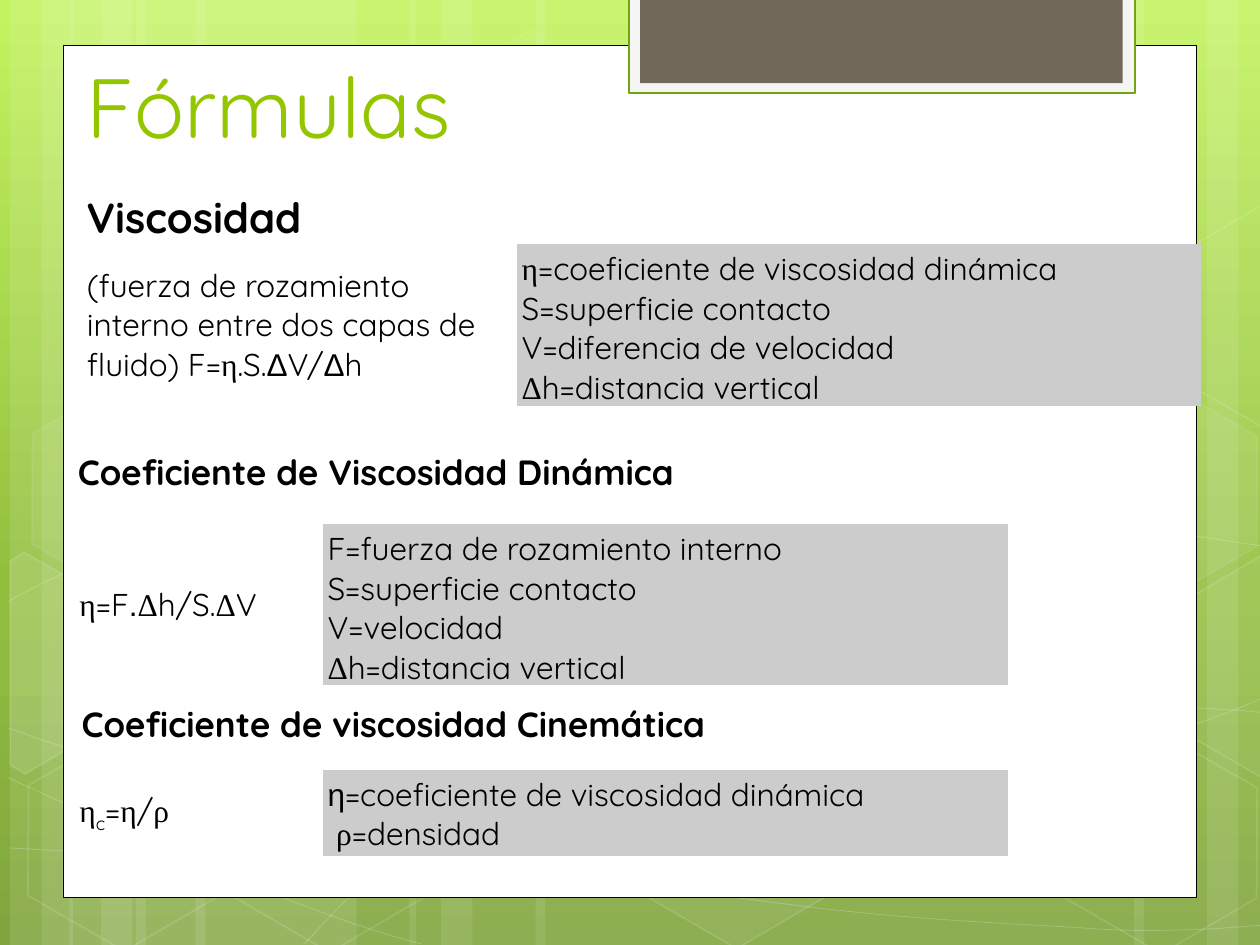
from copy import deepcopy
from dataclasses import dataclass
from math import cos, radians, sin

from pptx import Presentation
from pptx.dml.color import RGBColor
from pptx.enum.shapes import MSO_SHAPE
from pptx.enum.text import MSO_ANCHOR, MSO_AUTO_SIZE, PP_ALIGN
from pptx.oxml.ns import qn
from pptx.util import Inches, Pt
from lxml.etree import SubElement


@dataclass(frozen=True)
class Theme:
    sans: str = "Quicksand"
    serif: str = "Times New Roman"
    plain: str = "Arial"
    white: str = "FFFFFF"
    ink: str = "000000"
    accent: str = "94C600"
    frame: str = "74A510"
    tab: str = "F5F5F5"
    tab_core: str = "71685A"
    key: str = "CCCCCC"
    sky: tuple = ((0, "C3F35F"), (0.62, "93BF3F"), (1, "81A53E"))
    title: int = 48
    body: int = 18


T = Theme()
WIDTH, HEIGHT = 10, 7.5
TILT = 30  # degrees, shared by all hexagons

# Text: a paragraph is a list of runs; a run is a string or (string, font, baseline)
ETA, DELTA, RHO = [(c, T.serif) for c in "ηΔρ"]
DELTA_PLAIN = ("Δ", T.plain)
HEIGHT_KEY = [DELTA, "h=distancia vertical"]
CONTACT_KEY = ["S=superficie contacto"]
ETA_KEY = "=coeficiente de viscosidad dinámica"

SECTIONS = [
    dict(heading="Viscosidad", size=24, box=(0.59, 1.47, 8.9, 0.81),
         at=(0.65, 1.94), cols=(3.45, 5.43), height=1.28, row=0.98,
         formula=["(fuerza de rozamiento interno entre dos capas de fluido) F=",
                  ETA, ".S.", DELTA_PLAIN, "V/", DELTA_PLAIN, "h"],
         key=[[ETA, ETA_KEY], CONTACT_KEY, ["V=diferencia de velocidad"], HEIGHT_KEY]),
    dict(heading="Coeficiente de Viscosidad Dinámica", size=20, box=(0.52, 3.53, 8.27, 0.44),
         at=(0.59, 4.16), cols=(1.97, 5.44), height=1.28, row=0.98,
         formula=[ETA, "=F", (".", T.plain), DELTA, "h/S.", DELTA, "V"],
         key=[["F=fuerza de rozamiento interno"], CONTACT_KEY, ["V=velocidad"], HEIGHT_KEY]),
    dict(heading="Coeficiente de viscosidad Cinemática", size=20, box=(0.55, 5.53, 8.13, 0.44),
         at=(0.59, 6.11), cols=(1.97, 5.44), height=0.68, row=0.68,
         formula=[ETA, ("c", T.sans, -25000), "=", ETA, "/", RHO],
         key=[[("η", T.plain), ETA_KEY], [" ", RHO, "=densidad"]]),
]

# Backdrop: full-height bands (left, width)
BANDS = [(1.08, 1.75), (0.08, 0.5), (0.33, 0.83), (1.55, 1.75), (0.55, 0.5), (0.8, 0.83),
         (7.33, 1.75), (9.58, 0.5), (9, 0.83), (4.25, 3.08), (3.25, 0.5), (3.5, 0.83)]
# Start point, then Bézier segments of three points each
WAVES = [
    [(0.07, 6.73), (0.61, 6.76), (1.15, 6.79), (1.9, 6.78), (2.65, 6.77), (3.58, 6.75),
     (4.58, 6.65), (5.58, 6.55), (7, 6.36), (7.92, 6.17), (8.83, 5.98), (9.77, 5.68),
     (10.07, 5.51)],
    [(0.07, 4.77), (0.36, 4.61), (0.65, 4.46), (1.21, 4.31), (1.78, 4.16), (2.59, 3.94),
     (3.47, 3.87), (4.36, 3.8), (5.44, 3.79), (6.54, 3.87), (7.64, 3.95), (9.47, 4.26),
     (10.07, 4.34)],
    [(0.06, 6.17), (1.27, 6.72), (2.47, 7.27), (3.34, 7.49)],
    [(0.07, 5.78), (0.38, 5.89), (0.7, 6), (1.28, 6.16), (1.86, 6.31), (2.73, 6.56),
     (3.57, 6.73), (4.4, 6.9), (5.45, 7.08), (6.28, 7.18), (7.11, 7.29), (8, 7.33),
     (8.53, 7.36), (9.05, 7.4), (9.19, 7.38), (9.45, 7.38), (9.71, 7.37), (9.89, 7.35),
     (10.07, 7.34)],
    [(2.42, 7.49), (2.6, 7.29), (2.78, 7.09), (3.02, 6.91), (3.26, 6.73), (3.6, 6.53),
     (3.88, 6.39), (4.16, 6.25), (4.33, 6.19), (4.7, 6.09), (5.06, 5.99), (5.73, 5.85),
     (6.08, 5.78), (6.44, 5.71), (6.49, 5.71), (6.8, 5.69), (7.11, 5.66), (7.6, 5.63),
     (7.94, 5.62), (8.29, 5.61), (8.86, 5.62), (8.86, 5.62), (9.08, 5.62), (9.31, 5.62),
     (9.53, 5.62), (9.71, 5.63), (9.88, 5.64), (9.97, 5.65), (10.06, 5.66), (10.03, 5.65),
     (10.06, 5.66)],
]
# (left, top, fill opacity, line opacity), opacity in percent
HEXAGONS = [(3.34, 0.36, 4, 8), (4.97, 5.89, 6, 12), (0.11, 5.91, 0, 12), (0.14, 3.12, 7, 8),
            (1.74, 5.92, 0, 12), (7.53, 4.53, 10, 12), (8.34, 5.93, 0, 12), (8.34, 3.14, 7, 8)]
# Hexagons cut by the slide edge: (centre of the tilted box, corners, fill opacity)
CUT_HEXAGONS = [
    ((0.36, 5.35), [(0.08, 4.45), (0.19, 4.38), (0.96, 4.82), (0.95, 5.7), (0.2, 6.14),
                    (0.08, 6.07)], 10),
    ((9.85, 5.2), [(9.26, 4.85), (10.01, 4.41), (10.09, 4.46), (10.09, 6.13), (10.02, 6.17),
                   (9.26, 5.73)], 4),
    ((9.85, 2.41), [(9.26, 2.07), (10.01, 1.63), (10.1, 1.68), (10.09, 3.35), (10.02, 3.39),
                    (9.26, 2.95)], 0),
]
# (box, fill, line colour, line width)
PANELS = [((0.5, 0.36, 9, 6.76), T.white, T.ink, 0.5),
          ((4.99, -0.02, 4.02, 0.76), T.tab, T.frame, 1.25),
          ((5.08, -0.02, 3.83, 0.68), T.tab_core, None, 0)]


def inches(values):
    return [Inches(v) for v in values]


def paint(fill, color, opacity=100):
    if not color or not opacity:
        fill.background()
        return
    fill.solid()
    fill.fore_color.rgb = RGBColor.from_string(color)
    if opacity < 100:
        clr = fill._xPr.find(qn("a:solidFill"))[0]
        SubElement(clr, qn("a:alpha"), val=str(opacity * 1000))


def style(sp, fill=None, opacity=100, line=None, width=0, line_opacity=100):
    sp.shadow.inherit = False
    paint(sp.fill, fill, opacity)
    paint(sp.line.fill, line, line_opacity)
    if line:
        sp.line.width = Pt(width)


def add_preset(s, kind, box, **look):
    sp = s.shapes.add_shape(kind, *inches(box))
    style(sp, **look)
    return sp


def add_outline(s, points, close, **look):
    start, *rest = [tuple(inches(q)) for q in points]
    fb = s.shapes.build_freeform(*start, scale=1)
    fb.add_line_segments(rest, close=close)
    sp = fb.convert_to_shape()
    style(sp, **look)
    return sp


def bend(sp):
    """Merge each three straight segments into one Bézier segment."""
    lines = list(sp.element.iter(qn("a:lnTo")))
    for i in range(0, len(lines), 3):
        curve = SubElement(lines[i].getparent(), qn("a:cubicBezTo"))
        for line in lines[i:i + 3]:
            curve.append(line[0])
            line.getparent().remove(line)


def turn(point, centre, degrees):
    a = radians(degrees)
    x, y = point[0] - centre[0], point[1] - centre[1]
    return centre[0] + x * cos(a) - y * sin(a), centre[1] + x * sin(a) + y * cos(a)


def write(tf, paragraphs, size, color=T.ink, bold=False):
    for i, runs in enumerate(paragraphs):
        p = tf.add_paragraph() if i else tf.paragraphs[0]
        p.alignment = PP_ALIGN.LEFT
        for run in runs:
            text, font, *base = (run, T.sans) if isinstance(run, str) else run
            r = p.add_run()
            r.text = text
            for name, value in dict(name=font, size=Pt(size), bold=bold).items():
                setattr(r.font, name, value)
            r.font.color.rgb = RGBColor.from_string(color)
            if base:
                r.font._element.set("baseline", str(base[0]))


def add_backdrop(s):
    s.background.fill.gradient()
    s.background.fill.gradient_angle = 270
    stops = s.element.find(".//" + qn("a:gsLst"))
    stops.insert(1, deepcopy(stops[0]))
    for stop, (position, color) in zip(s.background.fill.gradient_stops, T.sky):
        stop.position = position
        stop.color.rgb = RGBColor.from_string(color)
    for left, width in BANDS:
        add_preset(s, MSO_SHAPE.RECTANGLE, (left, 0, width, HEIGHT), fill=T.white, opacity=10)
    for wave in WAVES:
        bend(add_outline(s, wave, False, line=T.white, width=0.5, line_opacity=20))
    for left, top, opacity, line_opacity in HEXAGONS:
        sp = add_preset(s, MSO_SHAPE.HEXAGON, (left, top, 1.75, 1.52), fill=T.white,
                        opacity=opacity, line=T.white, width=1, line_opacity=line_opacity)
        sp.rotation = TILT
        sp.adjustments[0], sp.adjustments[1] = 0.285, 1.155
    for centre, corners, opacity in CUT_HEXAGONS:
        upright = [turn(q, centre, -TILT) for q in corners]
        add_outline(s, upright, True, fill=T.white, opacity=opacity,
                    line=T.white, width=1, line_opacity=12).rotation = TILT
    for box, fill, line, width in PANELS:
        add_preset(s, MSO_SHAPE.RECTANGLE, box, fill=fill, line=line, width=width)


def add_title(s, text):
    sp = s.shapes.title
    sp.left, sp.top, sp.width, sp.height = inches((0.59, 0.21, 7.26, 1.07))
    tf = sp.text_frame
    tf.auto_size, tf.vertical_anchor = MSO_AUTO_SIZE.NONE, MSO_ANCHOR.BOTTOM
    write(tf, [[text]], T.title, T.accent)
    sp.element.getparent().append(sp.element)  # in front of the panels


def add_section(s, sec):
    tf = s.shapes.add_textbox(*inches(sec["box"])).text_frame
    tf.word_wrap = True
    write(tf, [[sec["heading"]]], sec["size"], bold=True)

    size = (sum(sec["cols"]), sec["height"])
    frame = s.shapes.add_table(1, 2, *inches(sec["at"] + size))
    table = frame.table
    table.first_row = table.horz_banding = False
    no_style = "{2D5ABB26-0587-4C30-8999-92F81FD0307C}"
    table._tbl.tblPr.find(qn("a:tableStyleId")).text = no_style
    table.rows[0].height = Inches(sec["row"])
    frame.height = Inches(sec["height"])
    contents = ([sec["formula"]], T.white), (sec["key"], T.key)
    for i, (paragraphs, fill) in enumerate(contents):
        table.columns[i].width = Inches(sec["cols"][i])
        cell = table.cell(0, i)
        cell.vertical_anchor = MSO_ANCHOR.MIDDLE
        for side in ("left", "top", "right", "bottom"):
            setattr(cell, "margin_" + side, Inches(0.04))
        paint(cell.fill, fill)
        write(cell.text_frame, paragraphs, T.body)


def main():
    prs = Presentation()
    prs.slide_width, prs.slide_height = inches((WIDTH, HEIGHT))
    s = prs.slides.add_slide(prs.slide_layouts[5])
    add_backdrop(s)
    add_title(s, "Fórmulas")
    for sec in SECTIONS:
        add_section(s, sec)
    prs.save("out.pptx")


if __name__ == "__main__":
    main()
